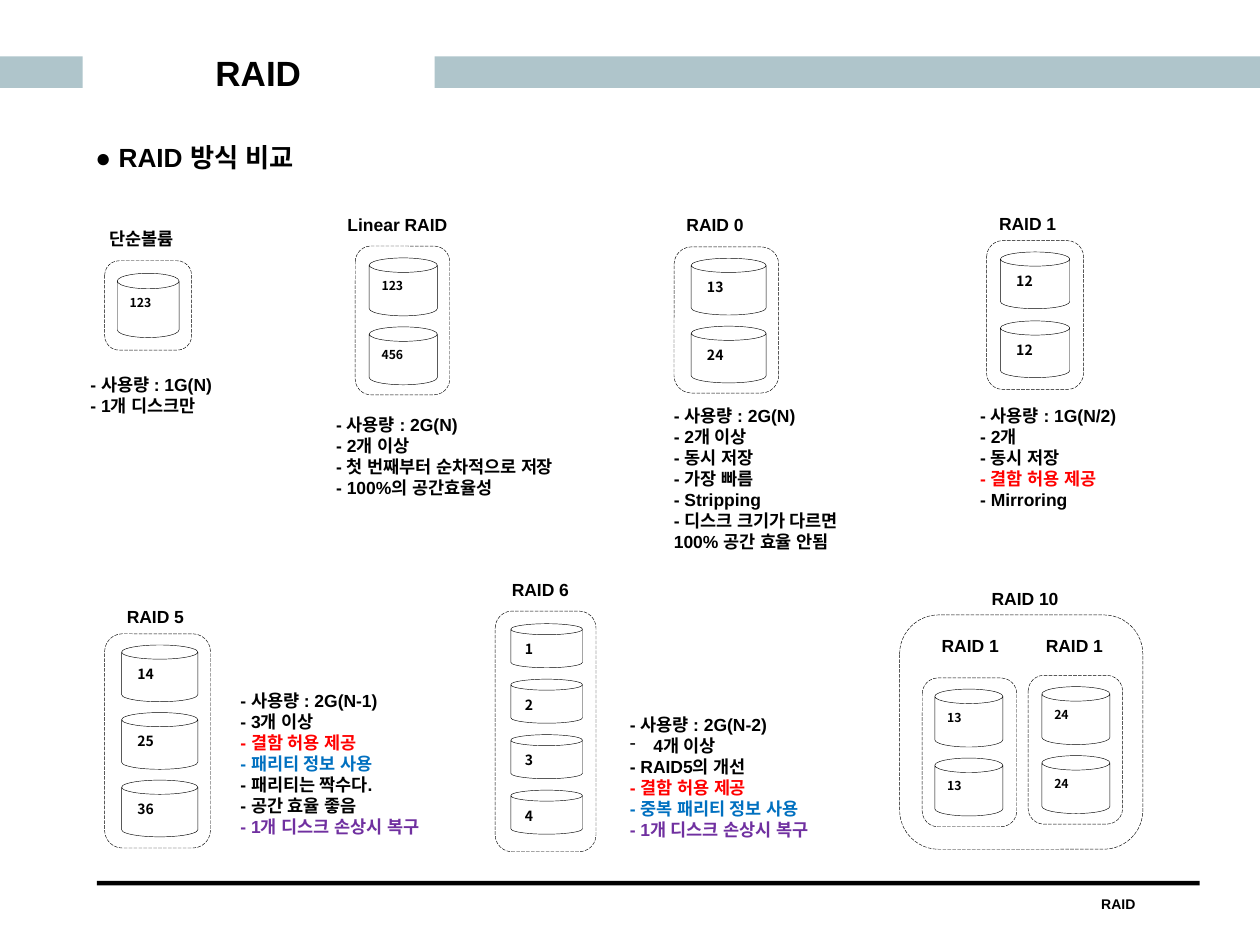
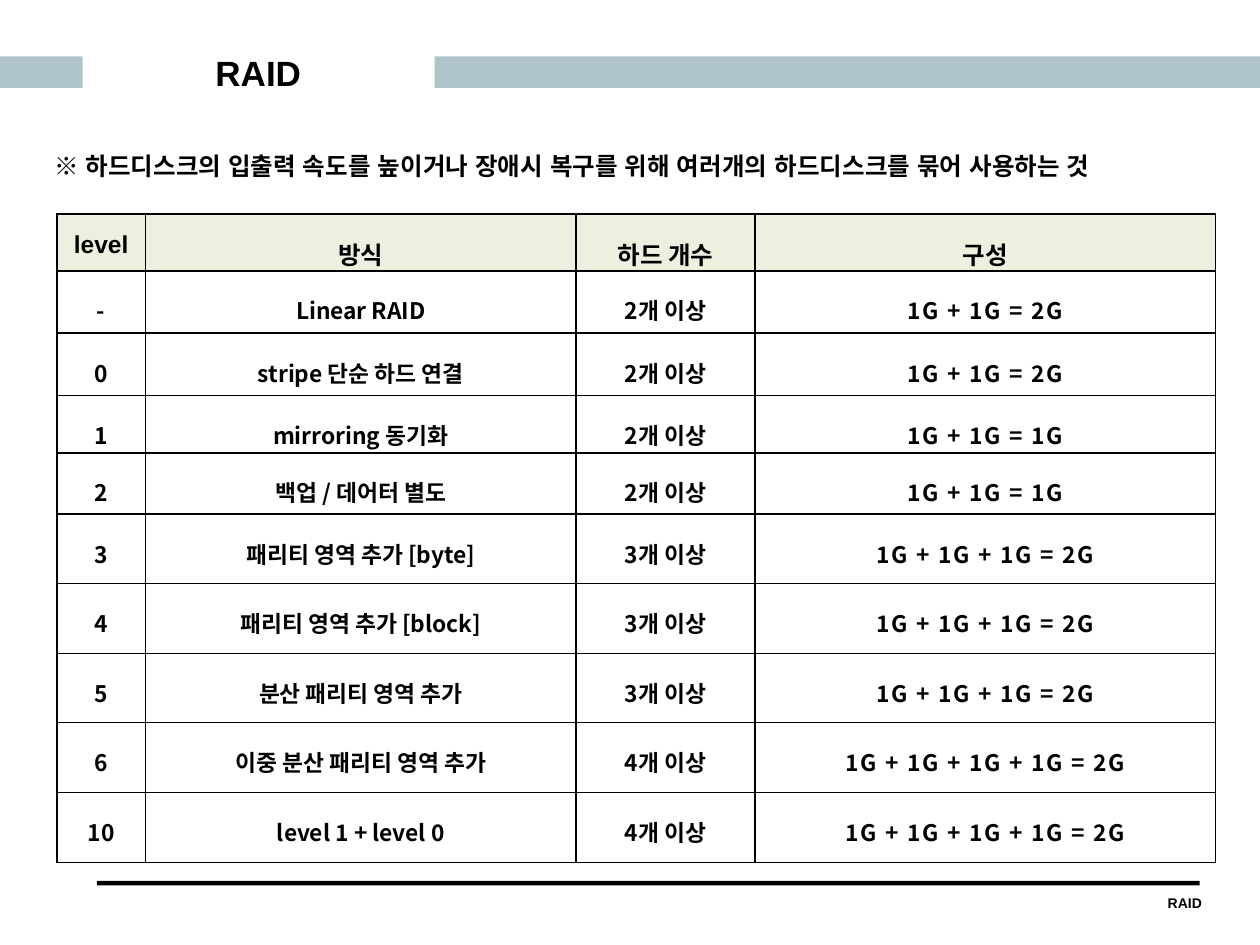
from dataclasses import dataclass
from typing import NamedTuple

from lxml import etree
from pptx import Presentation
from pptx.dml.color import RGBColor
from pptx.enum import dml, shapes, text
from pptx.oxml import ns
from pptx.util import Pt

BLACK = RGBColor(0, 0, 0)
BAND = RGBColor(0xAF, 0xC5, 0xCB)
HEAD = RGBColor(0xEB, 0xF1, 0xDE)
RED = RGBColor(0xFF, 0, 0)
BLUE = RGBColor(0, 0x70, 0xC0)
PLUM = RGBColor(0x70, 0x30, 0xA0)
SANS = "Arial"
NOTO = "Noto Sans CJK KR"
LEFT, MID = text.PP_ALIGN.LEFT, text.PP_ALIGN.CENTER
SHAPE = shapes.MSO_SHAPE


class Line(NamedTuple):
    words: str
    color: RGBColor = BLACK
    dash: bool = False


class Box(NamedTuple):
    x: float
    y: float
    w: float
    h: float

    def pts(self) -> list:
        return [Pt(side) for side in self]


@dataclass
class Stack:
    """A labelled dashed frame with equally spaced disks inside."""
    label: str
    spot: tuple
    frame: Box
    disk: Box
    marks: tuple
    step: float = 39.4
    size: float = 7
    pad: float = 7.2


@dataclass
class Note:
    box: Box
    lines: tuple


class Level(NamedTuple):
    name: str
    way: str
    disks: int
    total: str = "2G"


STACKS = (
    Stack("단순볼륨", (55.4, 126.7), Box(59.8, 149, 49.7, 51.1),
          Box(67, 156.2, 35.3, 36.7), ("123",)),
    Stack("Linear RAID", (191.5, 118.8), Box(203, 140.6, 54, 85),
          Box(211, 147.4, 38.9, 33.1), ("123", "456")),
    Stack("RAID 0", (385.2, 118.8), Box(385.2, 141.1, 59.8, 83.5),
          Box(395, 147.6, 42.8, 32.4), ("13", "24"), 38.8, 8, 9),
    Stack("RAID 1", (563.8, 118.1), Box(563.8, 137.5, 55.4, 85),
          Box(571.7, 144, 39.6, 32.4), ("12", "12"), size=8, pad=9),
    Stack("RAID 5", (65.4, 342.7), Box(59.8, 362.2, 60.5, 122.4),
          Box(69.5, 368.6, 43.5, 32.4), ("14", "25", "36"), 38.6, 8, 9),
    Stack("RAID 6", (285.4, 327.6), Box(283, 349.2, 57.6, 137.5),
          Box(291.9, 356.4, 41, 25.2), ("1", "2", "3", "4"), 31.7, 8, 8),
    Stack("RAID 1", (531, 359.3), Box(527, 387.4, 54, 85),
          Box(534.2, 393.8, 38.9, 33.1), ("13", "13")),
    Stack("RAID 1", (590.5, 359.3), Box(587.5, 385.9, 54, 85),
          Box(595.4, 392.4, 38.9, 33.1), ("24", "24")),
)
OUTER = Stack("RAID 10", (559.6, 332.6), Box(514.1, 351.4, 139, 133.9),
              Box(0, 0, 0, 0), ())

SAFE = Line("- 결함 허용 제공", RED)
MEND = Line("- 1개 디스크 손상시 복구", PLUM)
NOTES = (
    Note(Box(44.6, 210.2, 90, 31.7), (
        Line("- 사용량 : 1G(N)"), Line("- 1개 디스크만"))),
    Note(Box(185, 233.3, 159.1, 55.4), (
        Line("- 사용량 : 2G(N)"), Line("- 2개 이상"),
        Line("- 첫 번째부터 순차적으로 저장"), Line("- 100%의 공간효율성"))),
    Note(Box(378, 228.2, 133.9, 92.2), (
        Line("- 사용량 : 2G(N)"), Line("- 2개 이상"), Line("- 동시 저장"),
        Line("- 가장 빠름"), Line("- Stripping"),
        Line("- 디스크 크기가 다르면 100% 공간 효율 안됨"))),
    Note(Box(553, 228.2, 114.5, 67.7), (
        Line("- 사용량 : 1G(N/2)"), Line("- 2개"), Line("- 동시 저장"),
        SAFE, Line("- Mirroring"))),
    Note(Box(130.3, 391, 138.2, 92.2), (
        Line("- 사용량 : 2G(N-1)"), Line("- 3개 이상"), SAFE,
        Line("- 패리티 정보 사용", BLUE), Line("- 패리티는 짝수다."),
        Line("- 공간 효율 좋음"), MEND)),
    Note(Box(352.8, 404.6, 130.3, 79.9), (
        Line("- 사용량 : 2G(N-2)"), Line("4개 이상", dash=True),
        Line("- RAID5의 개선"), SAFE,
        Line("- 중복 패리티 정보 사용", BLUE), MEND)),
)

HEADS = ("level", "방식", "하드 개수", "구성")
LEVELS = (
    Level("-", "Linear RAID", 2),
    Level("0", "stripe 단순 하드 연결", 2),
    Level("1", "mirroring 동기화", 2, "1G"),
    Level("2", "백업 / 데어터 별도", 2, "1G"),
    Level("3", "패리티 영역 추가 [byte]", 3),
    Level("4", "패리티 영역 추가 [block]", 3),
    Level("5", "분산 패리티 영역 추가", 3),
    Level("6", "이중 분산 패리티 영역 추가", 4),
    Level("10", "level 1 + level 0", 4),
)
WIDTHS = (50.4, 246.2, 102.2, 263.2)
HEIGHTS = (32.5, 35.5, 35.5, 33, 35, 39.5, 40, 39.5, 40, 40)


def put(frame, lines, *, size: float = 10, font: str = SANS, east: str = SANS,
        align=LEFT, lead=None, track: int = 0) -> None:
    """Fill a text frame; a plain string counts as one black line."""
    if isinstance(lines, str):
        lines = (Line(lines),)
    frame.word_wrap = True
    for i, line in enumerate(lines):
        para = frame.add_paragraph() if i else frame.paragraphs[0]
        para.alignment = align
        if lead:
            para.line_spacing = lead
        if line.dash:
            props = para._p.get_or_add_pPr()
            props.set("marL", str(Pt(13.5)))
            props.set("indent", str(-Pt(13.5)))
            etree.SubElement(props, ns.qn("a:buChar"), char="-")
        run = para.add_run()
        run.text = line.words
        run.font.size = Pt(size)
        run.font.bold = True
        run.font.name = font
        run.font.color.rgb = line.color
        props = run._r.get_or_add_rPr()
        etree.SubElement(props, ns.qn("a:ea"), typeface=east)
        if track:
            props.set("spc", str(track))


def write(tree, box: Box, lines, **form) -> None:
    put(tree.add_textbox(*box.pts()).text_frame, lines, **form)


def bar(slide, box: Box, color: RGBColor) -> None:
    shape = slide.shapes.add_shape(SHAPE.RECTANGLE, *box.pts())
    shape.shadow.inherit = False
    shape.fill.solid()
    shape.fill.fore_color.rgb = color
    shape.line.fill.background()


def line_art(tree, kind, box: Box):
    """Add an unfilled shape with a hairline."""
    shape = tree.add_shape(kind, *box.pts())
    shape.shadow.inherit = False
    shape.fill.background()
    shape.line.color.rgb = BLACK
    shape.line.width = Pt(0.25)
    return shape


def draw_stack(slide, stack: Stack) -> None:
    tree = slide.shapes.add_group_shape().shapes
    for i, mark in enumerate(stack.marks):
        place = stack.disk._replace(y=stack.disk.y + i * stack.step)
        disk = line_art(tree, SHAPE.CAN, place)
        frame = disk.text_frame
        frame.vertical_anchor = text.MSO_ANCHOR.TOP
        frame.margin_left = Pt(stack.pad)
        put(frame, mark, size=stack.size, font=NOTO)
    edge = line_art(tree, SHAPE.ROUNDED_RECTANGLE, stack.frame)
    edge.line.dash_style = dml.MSO_LINE.LONG_DASH
    write(tree, Box(*stack.spot, 80, 19.4), stack.label, lead=Pt(12))


def start(deck, foot: Box, align):
    """Add a slide with the shared title, bands and footer."""
    slide = deck.slides.add_slide(deck.slide_layouts[5])
    bar(slide, Box(0, 32.2, 47.3, 18), BAND)
    bar(slide, Box(248.3, 32.2, 471.7, 18), BAND)
    bar(slide, Box(55.4, 503.4, 630.2, 2.6), BLACK)
    write(slide.shapes, foot, "RAID", size=8, align=align)
    title = slide.shapes.title
    title.left, title.top, title.width, title.height = Box(54, 26, 187.2, 31).pts()
    title.text_frame.auto_size = text.MSO_AUTO_SIZE.NONE
    title.text_frame.vertical_anchor = text.MSO_ANCHOR.MIDDLE
    put(title.text_frame, "RAID", size=20, align=MID)
    return slide


def rule(cell) -> None:
    """Give a cell thin black borders on all sides."""
    props = cell._tc.get_or_add_tcPr()
    for i, side in enumerate(("lnL", "lnR", "lnT", "lnB")):
        edge = etree.Element(ns.qn(f"a:{side}"), w=str(Pt(1)))
        fill = etree.SubElement(edge, ns.qn("a:solidFill"))
        etree.SubElement(fill, ns.qn("a:srgbClr"), val=str(BLACK))
        props.insert(i, edge)


def draw_table(slide) -> None:
    place = Box(32.6, 122.4, sum(WIDTHS), sum(HEIGHTS))
    grid = slide.shapes.add_table(len(HEIGHTS), len(WIDTHS), *place.pts()).table
    for col, width in zip(grid.columns, WIDTHS):
        col.width = Pt(width)
    for row, height in zip(grid.rows, HEIGHTS):
        row.height = Pt(height)
    body = [(lev.name, lev.way, f"{lev.disks}개 이상",
             " + ".join(["1G"] * lev.disks) + f" = {lev.total}")
            for lev in LEVELS]
    for r, words in enumerate([HEADS, *body]):
        for c, word in enumerate(words):
            cell = grid.cell(r, c)
            cell.margin_top = Pt(3.6 if r else 2)
            cell.margin_bottom = Pt(0)
            if r:
                cell.fill.background()
            else:
                cell.fill.solid()
                cell.fill.fore_color.rgb = HEAD
            rule(cell)
            put(cell.text_frame, word, size=13 if r else 14,
                font=NOTO if r else SANS, east=NOTO, align=MID, lead=1.5,
                track=100 if r and c == 3 else 0)


def main() -> None:
    deck = Presentation()
    deck.slide_width, deck.slide_height = Pt(720), Pt(540)

    types = start(deck, Box(592.6, 508.3, 92.9, 17.3), MID)
    write(types.shapes, Box(47.5, 77, 160, 25.2), "● RAID 방식 비교", size=15)
    for stack in (*STACKS, OUTER):
        draw_stack(types, stack)
    for note in NOTES:
        write(types.shapes, note.box, note.lines, lead=Pt(12))

    levels = start(deck, Box(660.2, 507.6, 36, 17.3), LEFT)
    draw_table(levels)
    write(levels.shapes, Box(23.8, 82.8, 661.7, 24.5),
          "※ 하드디스크의 입출력 속도를 높이거나 장애시 복구를 위해 "
          "여러개의 하드디스크를 묶어 사용하는 것", size=14, font=NOTO)
    deck.save("out.pptx")


if __name__ == "__main__":
    main()
